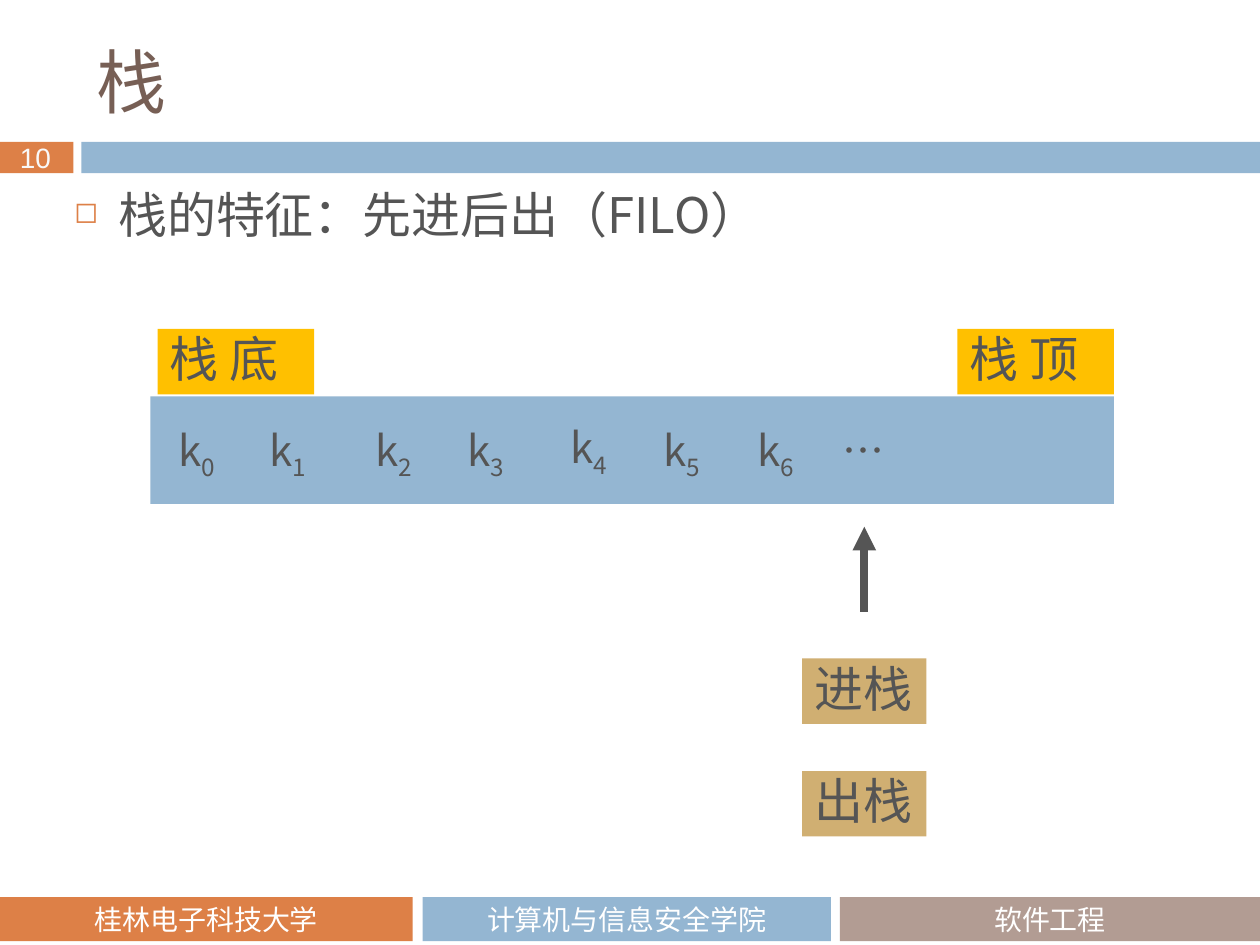
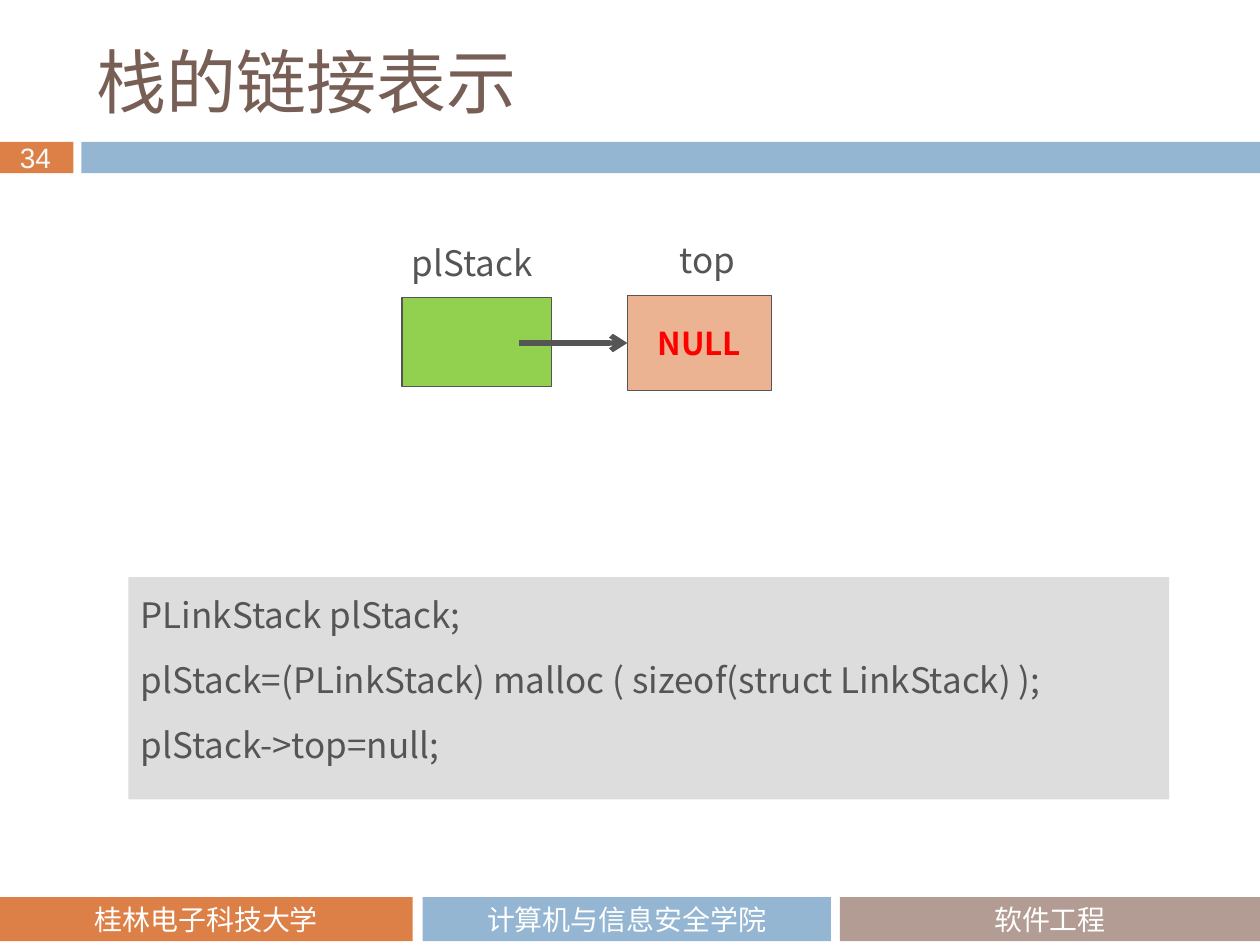
from lxml.etree import SubElement
from pptx import Presentation
from pptx.dml.color import RGBColor
from pptx.enum.shapes import MSO_CONNECTOR as Connector, MSO_SHAPE as Shape
from pptx.enum.text import MSO_ANCHOR as Anchor, PP_ALIGN as Align
from pptx.oxml.ns import qn
from pptx.util import Pt

THEME = {
    "colours": {
        "orange": "DD8047", "blue": "94B6D2", "mauve": "B29C93",
        "amber": "FFC000", "sand": "D0AF72", "grey": "DDDDDD",
        "green": "92D050", "peach": "EBB391", "ink": "555555",
        "brown": "775F55", "white": "FFFFFF", "paper": "F9F9F9", "red": "FF0000",
    },
    "text": {
        "title": ({"name": "Noto Sans CJK JP", "size": Pt(40)}, "brown"),
        "body": ({"name": "Noto Sans CJK SC", "size": Pt(28)}, "ink"),
        "item": ({"name": "Noto Sans CJK SC", "size": Pt(24)}, "ink"),
        "code": ({"name": "Noto Sans CJK SC", "size": Pt(20)}, "ink"),
        "null": ({"name": "Noto Sans CJK SC", "size": Pt(18), "bold": True}, "red"),
        "footer": ({"name": "Calibri", "size": Pt(16)}, "white"),
        "number": ({"name": "Arial", "size": Pt(16)}, "paper"),
    },
    "east_asian": {"title": "Noto Sans CJK JP"},
    "leading": Pt(30),
    "gap": Pt(7),
}
COLOURS = {name: RGBColor.from_string(code) for name, code in THEME["colours"].items()}


def add_box(page, place, fill=None, outline=None):
    lengths = [Pt(value) for value in place]
    if fill is None:
        box = page.shapes.add_textbox(*lengths)
    else:
        box = page.shapes.add_shape(Shape.RECTANGLE, *lengths)
        box.shadow.inherit = False
        box.fill.solid()
        box.fill.fore_color.rgb = COLOURS[fill]
        if outline:
            box.line.color.rgb = COLOURS[outline]
            box.line.width = Pt(0.75)
        else:
            box.line.fill.background()
    return box


def write_text(box, lines, style, align=Align.LEFT, anchor=Anchor.TOP, leading=None):
    values, colour = THEME["text"][style]
    frame = box.text_frame
    frame.word_wrap = True
    frame.vertical_anchor = anchor
    for index, line in enumerate(lines):
        para = frame.add_paragraph() if index else frame.paragraphs[0]
        para.alignment = align
        if leading:
            para.line_spacing = leading
        if index:
            para.space_before = THEME["gap"]
        base, _, subscript = line.partition("_")
        for text in filter(None, (base, subscript)):
            span = para.add_run()
            span.text = text
            for key, value in values.items():
                setattr(span.font, key, value)
            span.font.color.rgb = COLOURS[colour]
            properties = span._r.get_or_add_rPr()
            typeface = THEME["east_asian"].get(style, "Noto Sans CJK SC")
            SubElement(properties, qn("a:ea"), typeface=typeface)
            if text is subscript:
                properties.set("baseline", "-25000")


deck = Presentation()
deck.slide_width, deck.slide_height = Pt(720), Pt(540)
leading = THEME["leading"]

footers = [
    (0, 235.8, "orange", "桂林电子科技大学"),
    (241.5, 233.3, "blue", "计算机与信息安全学院"),
    (480, 240, "mauve", "软件工程"),
]
pages = []
for heading, number in [("栈", "10"), ("栈的链接表示", "34")]:
    page = deck.slides.add_slide(deck.slide_layouts[5])
    pages.append(page)
    add_box(page, (0, 81, 42, 18), "orange")
    add_box(page, (46.5, 81, 673.5, 18), "blue")
    for left, width, fill, label in footers:
        footer = add_box(page, (left, 512.6, width, 25.2), fill)
        write_text(footer, [label], "footer", Align.CENTER, Anchor.MIDDLE)
    write_text(add_box(page, (4.3, 76.5, 34.6, 26.6)), [number], "number")
    title = page.shapes.title
    title.left, title.top, title.width, title.height = Pt(48), Pt(18), Pt(642), Pt(56)
    write_text(title, [heading], "title", anchor=Anchor.MIDDLE)

stack_page, link_page = pages

add_box(stack_page, (86, 226.5, 550.5, 61.5), "blue")
feature = add_box(stack_page, (35.3, 105.8, 642, 51))
write_text(feature, ["栈的特征：先进后出（FILO）"], "body", leading=leading)
bullet = feature.text_frame.paragraphs[0]._p.get_or_add_pPr()
bullet.set("marL", str(Pt(25.2)))
bullet.set("indent", str(-Pt(25.2)))
bullet_colour = SubElement(bullet, qn("a:buClr"))
SubElement(bullet_colour, qn("a:srgbClr"), val=THEME["colours"]["orange"])
SubElement(bullet, qn("a:buSzPct"), val="60000")
SubElement(bullet, qn("a:buChar"), char="◻")

item_lefts = [95, 147, 207.4, 260, 319, 372.2, 425.5, 474.5]
items = [f"k_{index}" for index in range(7)] + ["…"]
for left, item in zip(item_lefts, items):
    top = 237.6 if item == "k_4" else 239
    write_text(add_box(stack_page, (left, top, 39.6, 36)), [item], "item")

tags = [
    (90, 188, 89.5, "amber", "栈 底"),
    (547, 188, 89.5, "amber", "栈 顶"),
    (458.4, 376.2, 71, "sand", "进栈"),
    (458.4, 440.6, 71, "sand", "出栈"),
]
for left, top, width, fill, label in tags:
    tag = add_box(stack_page, (left, top, width, 37.4), fill)
    write_text(tag, [label], "body", leading=leading)

code = add_box(link_page, (73.4, 329.8, 594.7, 127), "grey")
write_text(code, [
    "PLinkStack plStack;",
    "plStack=(PLinkStack) malloc ( sizeof(struct LinkStack) );",
    "plStack->top=null;",
], "code", leading=leading)
null_cell = add_box(link_page, (358.5, 168.7, 82.3, 54.4), "peach", "ink")
write_text(null_cell, ["NULL"], "null", Align.CENTER, Anchor.MIDDLE)
add_box(link_page, (229.7, 169.9, 85.3, 51), "green", "ink")
for place, label in [((228.2, 128.2, 91.4, 37.4), "plStack"),
                     ((381.4, 126.7, 58.3, 37.4), "top")]:
    write_text(add_box(link_page, place), [label], "code", leading=leading)

arrows = [
    (stack_page, (493.9, 349.5, 493.9, 301), 4.5, "triangle"),
    (link_page, (296.6, 196, 358.5, 196), 3, "arrow"),
]
for page, ends, weight, head in arrows:
    arrow = page.shapes.add_connector(Connector.STRAIGHT, *[Pt(end) for end in ends])
    arrow.line.color.rgb = COLOURS["ink"]
    arrow.line.width = Pt(weight)
    SubElement(arrow.line._get_or_add_ln(), qn("a:tailEnd"), type=head)
    SubElement(arrow._element.spPr, qn("a:effectLst"))

deck.save("out.pptx")
